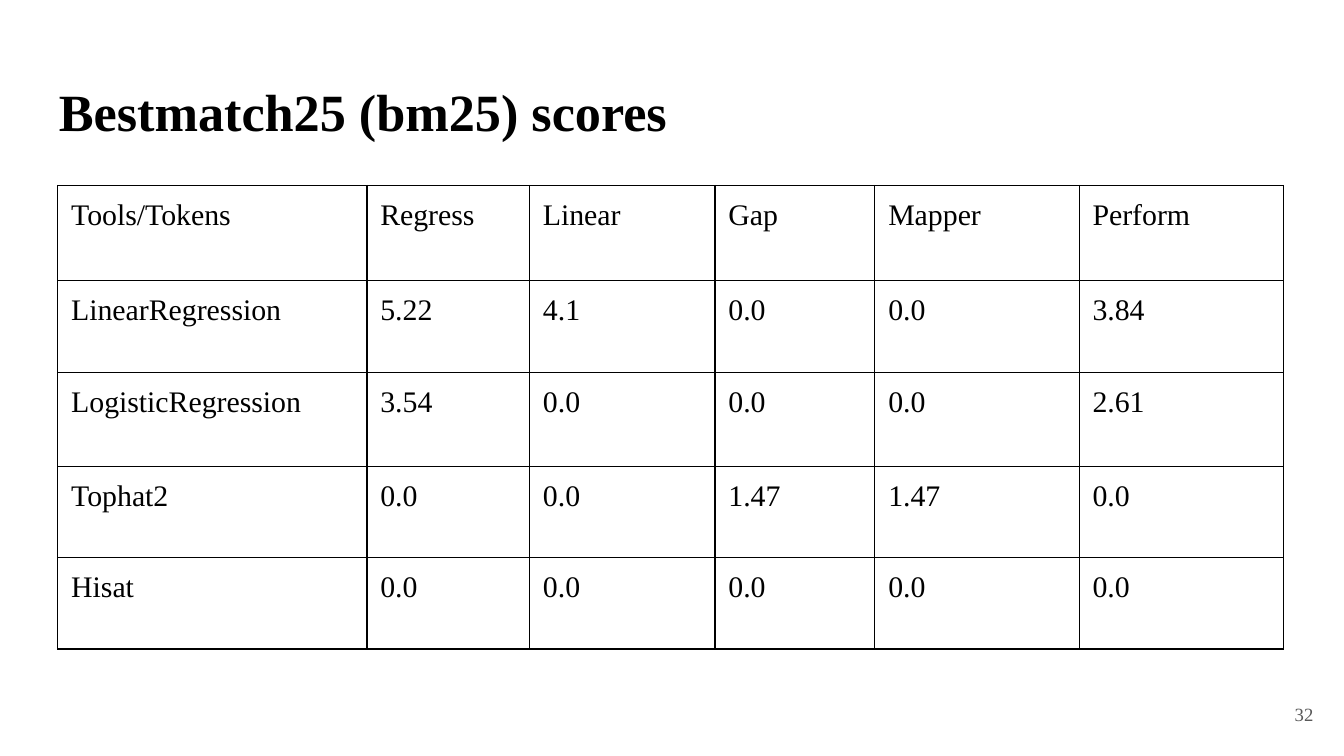
"""Build a slide with a table of bm25 scores per tool and token."""
import lxml.etree
import pptx
import pptx.dml.color
import pptx.enum.text
import pptx.oxml.ns
import pptx.util

Inches = pptx.util.Inches
Pt = pptx.util.Pt
BLACK = pptx.dml.color.RGBColor(0x00, 0x00, 0x00)
GRAY = pptx.dml.color.RGBColor(0x59, 0x59, 0x59)
WHITE = pptx.dml.color.RGBColor(0xFF, 0xFF, 0xFF)
FONT = "Times New Roman"
PAD = Inches(0.1)
WIDTHS = [2.3, 1.21, 1.38, 1.19, 1.52, 1.52]
HEIGHTS = [0.71, 0.68, 0.7, 0.68, 0.68]
SCORES = [
    ["Tools/Tokens", "Regress", "Linear", "Gap", "Mapper", "Perform"],
    ["LinearRegression", "5.22", "4.1", "0.0", "0.0", "3.84"],
    ["LogisticRegression", "3.54", "0.0", "0.0", "0.0", "2.61"],
    ["Tophat2", "0.0", "0.0", "1.47", "1.47", "0.0"],
    ["Hisat", "0.0", "0.0", "0.0", "0.0", "0.0"],
]


def pad(item):
    item.margin_left = item.margin_right = PAD
    item.margin_top = item.margin_bottom = PAD


def add_run(para, text, size, color=BLACK, bold=False):
    run = para.add_run()
    run.text = text
    run.font.name = FONT
    run.font.size = Pt(size)
    run.font.bold = bold
    run.font.color.rgb = color


def add_text(slide, box, text, size, color=BLACK, bold=False):
    frame = slide.shapes.add_textbox(*map(Inches, box)).text_frame
    frame.word_wrap = True
    pad(frame)
    add_run(frame.paragraphs[0], text, size, color, bold)
    return frame


def add_border(cell):
    props = cell._tc.get_or_add_tcPr()
    for side in ("lnL", "lnR", "lnT", "lnB"):
        line = lxml.etree.SubElement(props, pptx.oxml.ns.qn(f"a:{side}"), w=str(Pt(0.75)))
        fill = lxml.etree.SubElement(line, pptx.oxml.ns.qn("a:solidFill"))
        lxml.etree.SubElement(fill, pptx.oxml.ns.qn("a:srgbClr"), val=str(BLACK))


def fill_cell(cell, text):
    pad(cell)
    add_border(cell)
    cell.fill.solid()
    cell.fill.fore_color.rgb = WHITE
    add_run(cell.text_frame.paragraphs[0], text, 16)


def add_grid(slide, left, top):
    size = (Inches(sum(WIDTHS)), Inches(sum(HEIGHTS)))
    table = slide.shapes.add_table(
        len(HEIGHTS), len(WIDTHS), Inches(left), Inches(top), *size).table
    for col, width in zip(table.columns, WIDTHS):
        col.width = Inches(width)
    for row, height, texts in zip(table.rows, HEIGHTS, SCORES):
        row.height = Inches(height)
        for cell, text in zip(row.cells, texts):
            fill_cell(cell, text)


def main():
    deck = pptx.Presentation()
    deck.slide_width = Inches(10)
    deck.slide_height = Inches(10 * 9 / 16)
    slide = deck.slides.add_slide(deck.slide_layouts[6])
    title = add_text(slide, (0.34, 0.49, 9.32, 0.63), "Bestmatch25 (bm25) scores", 28, bold=True)
    title.paragraphs[0].space_before = Pt(3)
    number = add_text(slide, (9.27, 5.1, 0.6, 0.43), "32", 10, GRAY)
    number.vertical_anchor = pptx.enum.text.MSO_ANCHOR.MIDDLE
    number.paragraphs[0].alignment = pptx.enum.text.PP_ALIGN.RIGHT
    add_grid(slide, 0.43, 1.38)
    deck.save("out.pptx")


if __name__ == "__main__":
    main()
